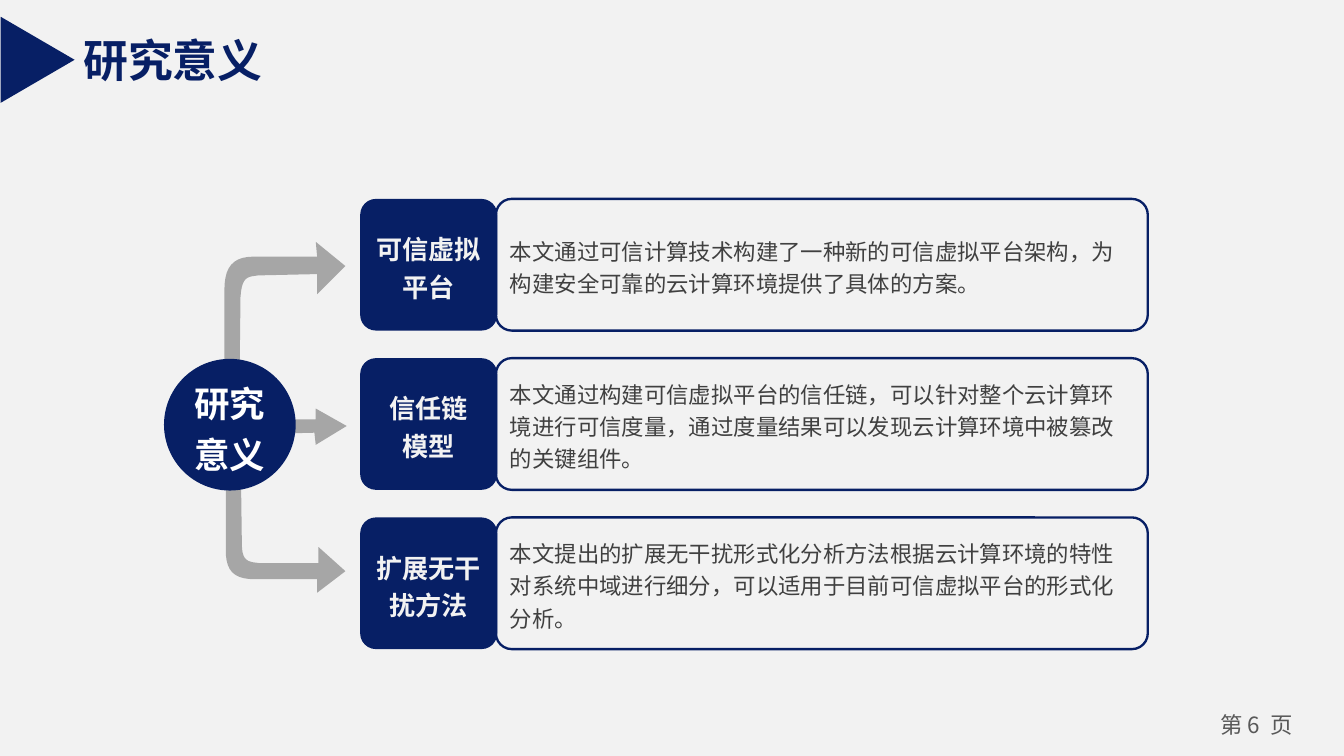
from lxml import etree
from pptx import Presentation
from pptx.dml.color import RGBColor
from pptx.enum.lang import MSO_LANGUAGE_ID
from pptx.enum.shapes import MSO_SHAPE
from pptx.enum.text import MSO_ANCHOR, MSO_AUTO_SIZE, PP_ALIGN
from pptx.oxml.ns import qn
from pptx.util import Inches, Pt

LEFT, CENTER = PP_ALIGN.LEFT, PP_ALIGN.CENTER
MIDDLE, NO_FIT = MSO_ANCHOR.MIDDLE, MSO_AUTO_SIZE.NONE
TRIANGLE, ELLIPSE = MSO_SHAPE.ISOSCELES_TRIANGLE, MSO_SHAPE.OVAL
ROUNDED = MSO_SHAPE.ROUNDED_RECTANGLE
CHINESE = MSO_LANGUAGE_ID.SIMPLIFIED_CHINESE

NAVY = RGBColor(0x07, 0x1F, 0x65)
ARROW_GRAY = RGBColor(0xA6, 0xA6, 0xA6)
BODY_GRAY = RGBColor(0x40, 0x40, 0x40)
PAGE_GRAY = RGBColor(0x59, 0x59, 0x59)
PALE = RGBColor(0xF2, 0xF2, 0xF2)
WHITE = RGBColor(0xFF, 0xFF, 0xFF)
LATIN_FONT, CHINESE_FONT = "Arial", "Noto Sans CJK SC"

TITLE = "研究意义"
PAGE_LABEL = "第 6  页"
POINTS = [
    ("可信虚拟平台",
     "本文通过可信计算技术构建了一种新的可信虚拟平台架构，为构建安全可靠的云计算环境提供了具体的方案。"),
    ("信任链\n模型",
     "本文通过构建可信虚拟平台的信任链，可以针对整个云计算环境进行可信度量，"
     "通过度量结果可以发现云计算环境中被篡改的关键组件。"),
    ("扩展无干扰方法",
     "本文提出的扩展无干扰形式化分析方法根据云计算环境的特性对系统中域进行细分，"
     "可以适用于目前可信虚拟平台的形式化分析。"),
]

# Two numbers are a corner; six are two Bezier handles and an end point.
ARROWS = [
    [(1.79, 3.31), (1.8, 4.05), (1.8, 4.18, 1.85, 4.18, 1.93, 4.19),
     (2.37, 4.19), (2.37, 4.07), (2.57, 4.25), (2.36, 4.41), (2.36, 4.31),
     (1.9, 4.31), (1.73, 4.31, 1.68, 4.24, 1.68, 4.09), (1.68, 3.29),
     (1.69, 3.16, 1.76, 3.17, 1.79, 3.31)],
    [(1.51, 3.24), (2.34, 3.22), (2.35, 3.31), (2.58, 3.17),
     (2.35, 3.04), (2.35, 3.12), (1.51, 3.12)],
    [(1.78, 3.07), (1.79, 2.21), (1.8, 2.06, 1.84, 2.06, 1.92, 2.05),
     (2.36, 2.04), (2.36, 2.19), (2.57, 1.98), (2.35, 1.8), (2.36, 1.91),
     (1.89, 1.91), (1.73, 1.91, 1.67, 1.99, 1.67, 2.16), (1.67, 3.09),
     (1.69, 3.24, 1.76, 3.23, 1.78, 3.07)],
]

SLIDE_WIDTH = 10
SLIDE_HEIGHT = SLIDE_WIDTH * 9 / 16
FIRST_TOP, LAST_TOP, ROW_HEIGHT = 1.48, 3.85, 0.98
ROW_PITCH = (LAST_TOP - FIRST_TOP) / (len(POINTS) - 1)
LABEL_LEFT, LABEL_WIDTH = 2.68, 1.02
BODY_LEFT, BODY_WIDTH = 3.69, 4.85
CURVE_STEPS = 10


def write(shape, text, size, color, font=CHINESE_FONT, bold=False,
          align=CENTER, spacing=None, margins=(0.07, 0.03), wrap=True):
    frame = shape.text_frame
    frame.text = text
    frame.word_wrap = wrap
    frame.auto_size = NO_FIT
    frame.vertical_anchor = MIDDLE
    frame.margin_left = frame.margin_right = Inches(margins[0])
    frame.margin_top = frame.margin_bottom = Inches(margins[1])
    for paragraph in frame.paragraphs:
        paragraph.alignment = align
        paragraph.line_spacing = spacing
        for run in paragraph.runs:
            run.font.size = Pt(size)
            run.font.bold = bold
            run.font.color.rgb = color
            run.font.name = font
            run.font.language_id = CHINESE
            east_asian = etree.SubElement(run.font._element, qn("a:ea"))
            east_asian.set("typeface", font)


def paint(shape, fill=None, line=None):
    shape.shadow.inherit = False
    if fill is None:
        shape.fill.background()
    else:
        shape.fill.solid()
        shape.fill.fore_color.rgb = fill
    if line is None:
        shape.line.fill.background()
    else:
        shape.line.color.rgb = line
        shape.line.width = Pt(1.25)


def add_shape(slide, kind, box, fill=None, line=None):
    shape = slide.shapes.add_shape(kind, *map(Inches, box))
    paint(shape, fill, line)
    return shape


def flatten(outline):
    """Turn corners and Bezier curves into a plain list of points."""
    points = []
    for step in outline:
        if len(step) == 2:
            points.append(step)
            continue
        controls = [points[-1], step[:2], step[2:4], step[4:]]
        for index in range(1, CURVE_STEPS + 1):
            t = index / CURVE_STEPS
            weights = ((1 - t) ** 3, 3 * t * (1 - t) ** 2, 3 * t * t * (1 - t), t ** 3)
            points.append(tuple(
                sum(weight * control[axis] for weight, control in zip(weights, controls))
                for axis in (0, 1)))
    return points


def add_arrow(slide, outline):
    start, *rest = [(Inches(x), Inches(y)) for x, y in flatten(outline)]
    builder = slide.shapes.build_freeform(*start)
    builder.add_line_segments(rest, close=True)
    paint(builder.convert_to_shape(), ARROW_GRAY)


def add_point(slide, top, label, body):
    body_box = add_shape(slide, ROUNDED, (BODY_LEFT, top, BODY_WIDTH, ROW_HEIGHT), line=NAVY)
    label_box = add_shape(slide, ROUNDED, (LABEL_LEFT, top, LABEL_WIDTH, ROW_HEIGHT), NAVY)
    for box in (body_box, label_box):
        box.adjustments[0] = 0.12
    write(body_box, body, 12, BODY_GRAY, align=LEFT, spacing=1.2)
    write(label_box, label, 14, PALE, bold=True, spacing=1.2)


def main():
    presentation = Presentation()
    presentation.slide_width = Inches(SLIDE_WIDTH)
    presentation.slide_height = Inches(SLIDE_HEIGHT)
    slide = presentation.slides.add_slide(presentation.slide_layouts[5])
    slide.background.fill.solid()
    slide.background.fill.fore_color.rgb = PALE

    title = slide.shapes.title
    title.left, title.top, title.width, title.height = map(Inches, (0.52, 0.19, 1.55, 0.5))
    write(title, TITLE, 24, NAVY, LATIN_FONT, bold=True, align=LEFT,
          margins=(0.1, 0.05), wrap=False)
    add_shape(slide, TRIANGLE, (-0.04, 0.17, 0.64, 0.55), NAVY).rotation = 90

    page = slide.shapes.add_textbox(*map(Inches, (8.9, 5.24, 0.9, 0.3)))
    write(page, PAGE_LABEL, 12, PAGE_GRAY, margins=(0.07, 0.04))

    for outline in ARROWS:
        add_arrow(slide, outline)
    for row, (label, body) in enumerate(POINTS):
        add_point(slide, FIRST_TOP + row * ROW_PITCH, label, body)

    hub = add_shape(slide, ELLIPSE, (1.22, 2.67, 0.98, 0.98), NAVY)
    write(hub, TITLE, 19, WHITE, LATIN_FONT, bold=True, spacing=1.2)

    presentation.save("out.pptx")


if __name__ == "__main__":
    main()
